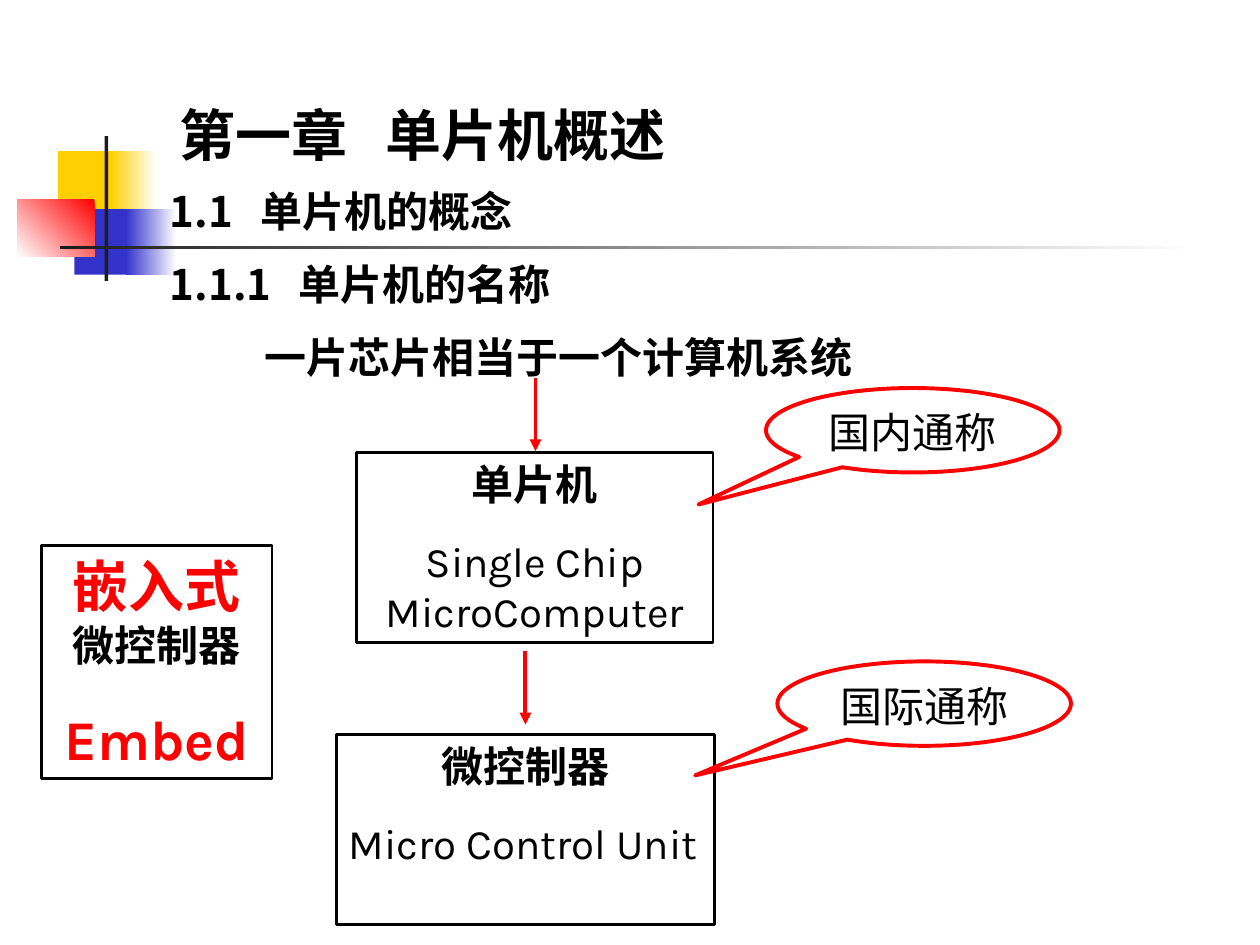
from typing import NamedTuple, Optional

from lxml.etree import SubElement
from pptx import Presentation
from pptx.dml.color import RGBColor
from pptx.enum.shapes import MSO_CONNECTOR, MSO_SHAPE
from pptx.enum.text import MSO_ANCHOR, MSO_AUTO_SIZE, PP_ALIGN
from pptx.oxml.ns import qn
from pptx.util import Emu, Pt

EMU_PER_PX = 9144
COLORS = {
    "yellow": "FFCF01",
    "blue": "3333CC",
    "red": "FF0000",
    "dark": "1C1C1C",
    "white": "FFFFFF",
    "black": "000000",
}
CJK_FONT = "Noto Sans CJK SC"
LATIN_FONT = "Karla"


class Area(NamedTuple):
    left: int
    top: int
    width: int
    height: int


class Block(NamedTuple):
    area: Area
    start: str
    end: Optional[str] = None
    angle: int = 180


class Span(NamedTuple):
    text: str
    size: int = 24
    bold: bool = True
    color: str = "black"
    font: str = LATIN_FONT


class Para(NamedTuple):
    spans: list[Span]
    align: PP_ALIGN = PP_ALIGN.CENTER
    before: int = 0
    tab: int = 0


class Heading(NamedTuple):
    area: Area
    text: str
    size: int = 24
    font: str = CJK_FONT
    tab: int = 0


class Card(NamedTuple):
    area: Area
    paras: list[Para]
    anchor: MSO_ANCHOR = MSO_ANCHOR.TOP


class Callout(NamedTuple):
    area: Area
    text: str
    tip: tuple[float, float]


BLOCKS = [
    Block(Area(46, 120, 48, 52), "yellow"),
    Block(Area(88, 120, 36, 52), "white", "yellow"),
    Block(Area(59, 166, 46, 52), "blue"),
    Block(Area(100, 166, 40, 52), "white", "blue"),
    Block(Area(14, 158, 61, 46), "red", "white", angle=225),
    Block(Area(83, 108, 3, 115), "dark"),
    Block(Area(48, 195, 900, 3), "white", "dark"),
]
HEADINGS = [
    Heading(Area(133, 75, 500, 64), "第一章\t单片机概述", size=32, tab=163),
    Heading(Area(125, 142, 533, 50), "1.1\t单片机的概念", tab=72),
    Heading(Area(125, 200, 533, 50), "1.1.1\t单片机的名称", tab=102),
    Heading(Area(200, 258, 492, 50), "一片芯片相当于一个计算机系统", font=LATIN_FONT),
]
CARDS = [
    Card(
        Area(283, 359, 283, 151),
        [
            Para([Span("单片机")]),
            Para([Span("Single Chip MicroComputer", bold=False)], before=15),
        ],
        MSO_ANCHOR.MIDDLE,
    ),
    Card(
        Area(267, 583, 300, 151),
        [
            Para([Span("微控制器")]),
            Para([Span("Micro Control Unit", bold=False)], PP_ALIGN.LEFT, before=15),
        ],
    ),
    Card(
        Area(33, 433, 183, 185),
        [
            Para([Span("嵌入式", size=32, color="red"), Span("微控制器")]),
            Para([Span("Embed", size=32, color="red")], before=20),
        ],
    ),
]
ARROWS = [(425, 300), (417, 517)]
ARROW_LENGTH = 58
CALLOUTS = [
    Callout(Area(608, 308, 233, 67), "国内通称", (-0.73, 0.88)),
    Callout(Area(617, 525, 233, 67), "国际通称", (-0.78, 0.85)),
]


def px(length: int) -> Emu:
    return Emu(length * EMU_PER_PX)


def rgb(name: str) -> RGBColor:
    return RGBColor.from_string(COLORS[name])


def add_preset(page, preset: MSO_SHAPE, area: Area):
    shape = page.shapes.add_shape(preset, *map(px, area))
    shape.shadow.inherit = False
    return shape


def outline(shape, color: str, width: float) -> None:
    shape.fill.background()
    shape.line.color.rgb = rgb(color)
    shape.line.width = Pt(width)


def add_span(para, text: str, *, size: int, bold: bool, color: str, font: str) -> None:
    run = para.add_run()
    run.text = text
    run.font.size = Pt(size)
    run.font.bold = bold
    run.font.color.rgb = rgb(color)
    run.font.name = font
    SubElement(run.font._element, qn("a:ea"), typeface=CJK_FONT)


def write(shape, paras: list[Para], *, anchor=MSO_ANCHOR.TOP, grow: bool = True) -> None:
    frame = shape.text_frame
    frame.word_wrap = True
    frame.vertical_anchor = anchor
    frame.auto_size = MSO_AUTO_SIZE.SHAPE_TO_FIT_TEXT if grow else MSO_AUTO_SIZE.NONE
    for index, spec_para in enumerate(paras):
        para = frame.add_paragraph() if index else frame.paragraphs[0]
        para.alignment = spec_para.align
        if spec_para.before:
            para.space_before = Pt(spec_para.before)
        if spec_para.tab:
            tabs = SubElement(para._p.get_or_add_pPr(), qn("a:tabLst"))
            SubElement(tabs, qn("a:tab"), pos=str(px(spec_para.tab)), algn="l")
        for span in spec_para.spans:
            add_span(para, **span._asdict())


def add_block(page, block: Block) -> None:
    shape = add_preset(page, MSO_SHAPE.RECTANGLE, block.area)
    shape.line.fill.background()
    if block.end is None:
        shape.fill.solid()
        shape.fill.fore_color.rgb = rgb(block.start)
        return
    shape.fill.gradient()
    shape.fill.gradient_angle = block.angle
    for stop, color in zip(shape.fill.gradient_stops, (block.start, block.end)):
        stop.color.rgb = rgb(color)


def add_heading(page, heading: Heading) -> None:
    box = page.shapes.add_textbox(*map(px, heading.area))
    span = Span(heading.text, heading.size, font=heading.font)
    write(box, [Para([span], PP_ALIGN.LEFT, tab=heading.tab)])


def add_card(page, card: Card) -> None:
    shape = add_preset(page, MSO_SHAPE.RECTANGLE, card.area)
    outline(shape, "black", 1.5)
    write(shape, card.paras, anchor=card.anchor)


def add_arrow(page, left: int, top: int) -> None:
    ends = map(px, (left, top, left, top + ARROW_LENGTH))
    arrow = page.shapes.add_connector(MSO_CONNECTOR.STRAIGHT, *ends)
    arrow.line.color.rgb = rgb("red")
    arrow.line.width = Pt(2.25)
    SubElement(arrow.line._get_or_add_ln(), qn("a:tailEnd"), type="triangle")
    SubElement(arrow._element.spPr, qn("a:effectLst"))


def add_callout(page, callout: Callout) -> None:
    shape = add_preset(page, MSO_SHAPE.OVAL_CALLOUT, callout.area)
    shape.adjustments[0], shape.adjustments[1] = callout.tip
    outline(shape, "red", 2.25)
    write(shape, [Para([Span(callout.text, bold=False)])], grow=False)


def main() -> None:
    deck = Presentation()
    deck.slide_width, deck.slide_height = px(1000), px(750)
    page = deck.slides.add_slide(deck.slide_layouts[6])
    for block in BLOCKS:
        add_block(page, block)
    for heading in HEADINGS:
        add_heading(page, heading)
    for left, top in ARROWS:
        add_arrow(page, left, top)
    for card in CARDS:
        add_card(page, card)
    for callout in CALLOUTS:
        add_callout(page, callout)
    deck.save("out.pptx")


if __name__ == "__main__":
    main()
